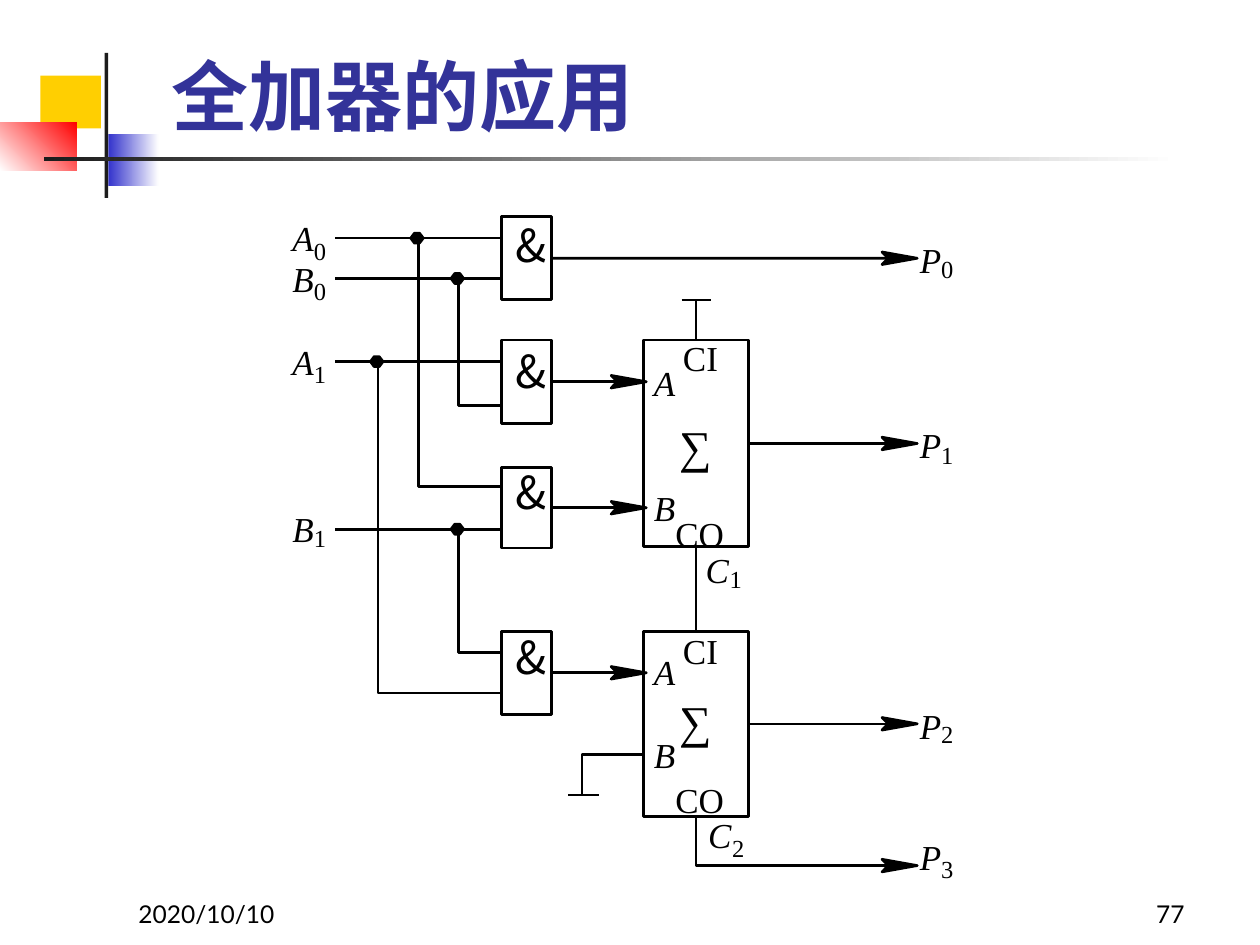
from typing import NamedTuple

from lxml import etree
from pptx import Presentation
from pptx.dml.color import RGBColor
from pptx.enum.shapes import MSO_CONNECTOR as CONN, MSO_SHAPE as SHAPE
from pptx.enum.text import MSO_ANCHOR as ANCHOR, MSO_AUTO_SIZE as AUTO, PP_ALIGN as ALIGN
from pptx.oxml.ns import qn
from pptx.util import Inches, Pt

BLACK, WHITE, DARK = "000000", "FFFFFF", "1C1C1C"
SERIF, SANS, CJK = "Times New Roman", "Lato", "Noto Sans CJK SC"
TOP, BOTTOM, RIGHT = 0, 2, 3
LINE = Pt(1.5)


class Box(NamedTuple):
    x: float
    y: float
    w: float
    h: float

    @property
    def mid_x(self) -> float:
        return self.x + self.w / 2

    @property
    def mid_y(self) -> float:
        return self.y + self.h / 2

    def lengths(self) -> list:
        return [Inches(v) for v in self]


class Signal(NamedTuple):
    letter: str
    digit: str
    x: float
    y: float
    dx: float
    dy: float


def rgb(color: str) -> RGBColor:
    return RGBColor.from_string(color)


def block(box: Box, fill: str = "", fade: str = "", angle: float = 0):
    """Borderless rectangle, plain or fading from one colour to another."""
    sp = s.shapes.add_shape(SHAPE.RECTANGLE, *box.lengths())
    sp.shadow.inherit = False
    sp.line.fill.background()
    if fade:
        sp.fill.gradient()
        sp.fill.gradient_angle = angle
        for stop, color in zip(sp.fill.gradient_stops, (fill, fade)):
            stop.color.rgb = rgb(color)
    elif fill:
        sp.fill.solid()
        sp.fill.fore_color.rgb = rgb(fill)
    else:
        sp.fill.background()
    return sp


def outline(sp) -> None:
    sp.line.color.rgb = rgb(BLACK)
    sp.line.width = LINE


def component(box: Box, fill: str = ""):
    sp = block(box, fill)
    outline(sp)
    return sp


def wire(x1: float, y1: float, x2: float, y2: float, start=None, side: int = RIGHT):
    cn = s.shapes.add_connector(CONN.STRAIGHT, *map(Inches, (x1, y1, x2, y2)))
    outline(cn)
    etree.SubElement(cn._element.spPr, qn("a:effectLst"))
    if start is not None:
        cn.begin_connect(start, side)
    return cn


def path(points: list, closed: bool = False) -> None:
    """Bent wire, or a solid black outline when closed."""
    (x0, y0), *rest = [(Inches(x), Inches(y)) for x, y in points]
    fb = s.shapes.build_freeform(x0, y0)
    fb.add_line_segments(rest, close=closed)
    sp = fb.convert_to_shape()
    sp.shadow.inherit = False
    outline(sp)
    if closed:
        sp.fill.solid()
        sp.fill.fore_color.rgb = rgb(BLACK)
    else:
        sp.fill.background()


def arrowhead(tip: float, y: float, length: float) -> None:
    back = tip - length
    path([(back, y - 0.05), (back + 0.05, y), (back, y + 0.05), (tip, y)], True)


def junction(x: float, y: float) -> None:
    path([(x - 0.05, y), (x - 0.02, y - 0.04), (x + 0.02, y - 0.04),
          (x + 0.05, y), (x + 0.02, y + 0.04), (x - 0.02, y + 0.04)], True)


def text(words: str, box: Box, size: int, font: str, color: str = BLACK,
         bold: bool = False, italic: bool = False):
    tb = s.shapes.add_textbox(*box.lengths())
    p = tb.text_frame.paragraphs[0]
    p.text = words
    p.font.size, p.font.name = Pt(size), font
    p.font.color.rgb = rgb(color)
    p.font.bold, p.font.italic = bold, italic
    return tb.text_frame


def label(words: str, box: Box, size: int = 20, font: str = SERIF, italic: bool = False) -> None:
    """Diagram text without margins or wrapping."""
    tf = text(words, box, size, font, italic=italic)
    tf.margin_left = tf.margin_right = tf.margin_top = tf.margin_bottom = 0
    tf.word_wrap = False
    tf.auto_size = AUTO.SHAPE_TO_FIT_TEXT


def frame_text(words: str, box: Box, size: int, align=ALIGN.LEFT, **style) -> None:
    """Title or footer text, resting on the bottom of its box."""
    tf = text(words, box, size, SANS, **style)
    tf.word_wrap = True
    tf.vertical_anchor = ANCHOR.BOTTOM
    tf.paragraphs[0].alignment = align


prs = Presentation()
prs.slide_width, prs.slide_height = Inches(10), Inches(7.5)
s = prs.slides.add_slide(prs.slide_layouts[6])

# Decoration, title and footer
block(Box(0.32, 0.6, 0.48, 0.42), "FFCF01")
block(Box(0.86, 1.06, 0.4, 0.42), "3333CC", WHITE)
block(Box(0, 0.97, 0.61, 0.38), WHITE, "FF0000", 45)
block(Box(0.83, 0.42, 0.03, 1.15), DARK)
block(Box(0.35, 1.25, 9, 0.03), DARK, WHITE)
frame_text("2020/10/10", Box(1, 6.92, 2.08, 0.5), 14)
frame_text("77", Box(7.42, 6.92, 2.08, 0.5), 14, ALIGN.RIGHT)
frame_text("全加器的应用", Box(1.26, 0.5, 8.52, 0.67), 44, color="333399", bold=True)

# Gates and adders
GATES = [Box(3.98, y, 0.4, h) for y, h in ((1.72, 0.66), (2.7, 0.66), (3.71, 0.64), (5.01, 0.66))]
ADDERS = [Box(5.11, 2.7, 0.83, 1.64), Box(5.11, 5.01, 0.83, 1.47)]
gate_shapes = [component(g, WHITE) for g in GATES]
adder_shapes = [component(a) for a in ADDERS]
gate_left, gate_right = GATES[0].x, GATES[0].x + GATES[0].w
adder_left, adder_right, adder_mid = ADDERS[0].x, ADDERS[0].x + ADDERS[0].w, ADDERS[0].mid_x

# Inputs and their branches
for y in (1.89, 2.21, 2.87, 4.2):
    wire(2.66, y, gate_left, y)
for x, y, end_y in ((3.64, 2.21, 3.22), (3.32, 1.89, 3.86), (3.64, 4.2, 5.18), (3, 2.87, 5.5)):
    path([(x, y), (x, end_y), (gate_left, end_y)])
    junction(x - 0.01, y)

# Gate outputs
OUT_X = 7.24
for i, (gate, shape) in enumerate(zip(GATES, gate_shapes)):
    wire(gate_right, gate.mid_y, adder_left if i else OUT_X, gate.mid_y, shape)
    if i:
        arrowhead(5.13, gate.mid_y, 0.28)

# Adder outputs, carry chain and grounded inputs
for adder, shape in zip(ADDERS, adder_shapes):
    wire(adder_right, adder.mid_y, OUT_X, adder.mid_y, shape)
carry = wire(adder_mid, 4.34, adder_mid, 5.01, adder_shapes[0], BOTTOM)
carry.end_connect(adder_shapes[1], TOP)
path([(adder_mid, 6.48), (adder_mid, 6.87), (7.26, 6.87)])
wire(adder_mid, 2.7, adder_mid, 2.38, adder_shapes[0], TOP)
wire(5.41, 2.38, 5.64, 2.38)
path([(adder_left, 5.99), (4.62, 5.99), (4.62, 6.31)])
wire(4.51, 6.31, 4.75, 6.31)
for y in (GATES[0].mid_y, ADDERS[0].mid_y, ADDERS[1].mid_y, 6.87):
    arrowhead(7.28, y, 0.28)

# Component labels
for y in (1.72, 2.72, 3.68, 4.99):
    label("&", Box(4.09, y, 0.38, 0.45), 26, CJK)
label("∑", Box(5.39, 3.32, 0.43, 0.51), 26)
label("∑", Box(5.39, 5.5, 0.36, 0.43), 26)
for pin, y in (("A", 2.87), ("B", 3.86), ("A", 5.16), ("B", 5.82)):
    label(pin, Box(5.19, y, 0.28, 0.38), italic=True)
for y in (2.67, 5):
    label("CI", Box(5.42, y, 0.28, 0.33))
for y in (4.07, 6.18):
    label("CO", Box(5.36, y, 0.39, 0.33))

# Signal names
SIGNALS = [
    Signal("A", "0", 2.32, 1.72, 0.17, 0.15),
    Signal("B", "0", 2.32, 2.04, 0.17, 0.15),
    Signal("A", "1", 2.32, 2.7, 0.17, 0.15),
    Signal("B", "1", 2.32, 4.03, 0.17, 0.12),
    Signal("P", "0", 7.3, 1.89, 0.17, 0.13),
    Signal("P", "1", 7.3, 3.36, 0.17, 0.13),
    Signal("P", "2", 7.3, 5.59, 0.17, 0.12),
    Signal("P", "3", 7.3, 6.63, 0.17, 0.15),
    Signal("C", "1", 5.6, 4.35, 0.19, 0.13),
    Signal("C", "2", 5.62, 6.46, 0.19, 0.15),
]
for sig in SIGNALS:
    label(sig.letter, Box(sig.x, sig.y, 0.28, 0.38), italic=True)
    label(sig.digit, Box(sig.x + sig.dx, sig.y + sig.dy, 0.19, 0.3), 14)

prs.save("out.pptx")
